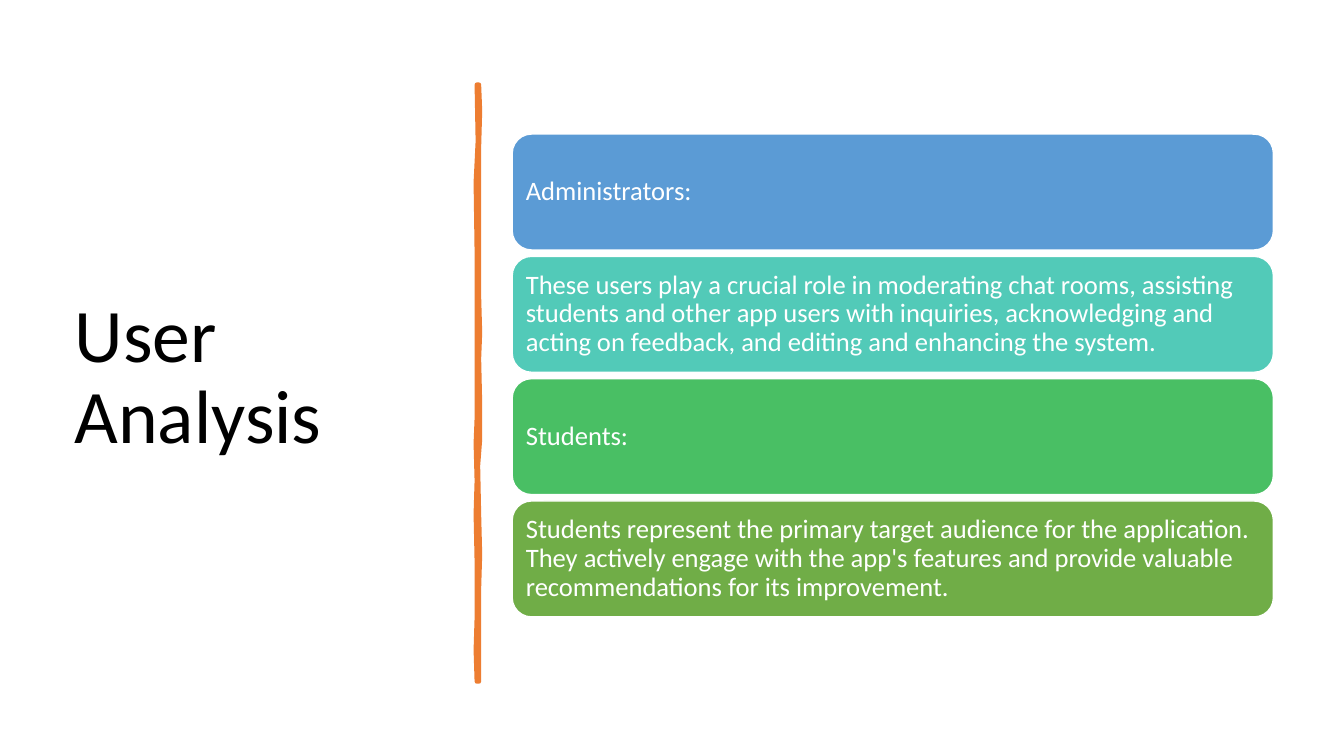
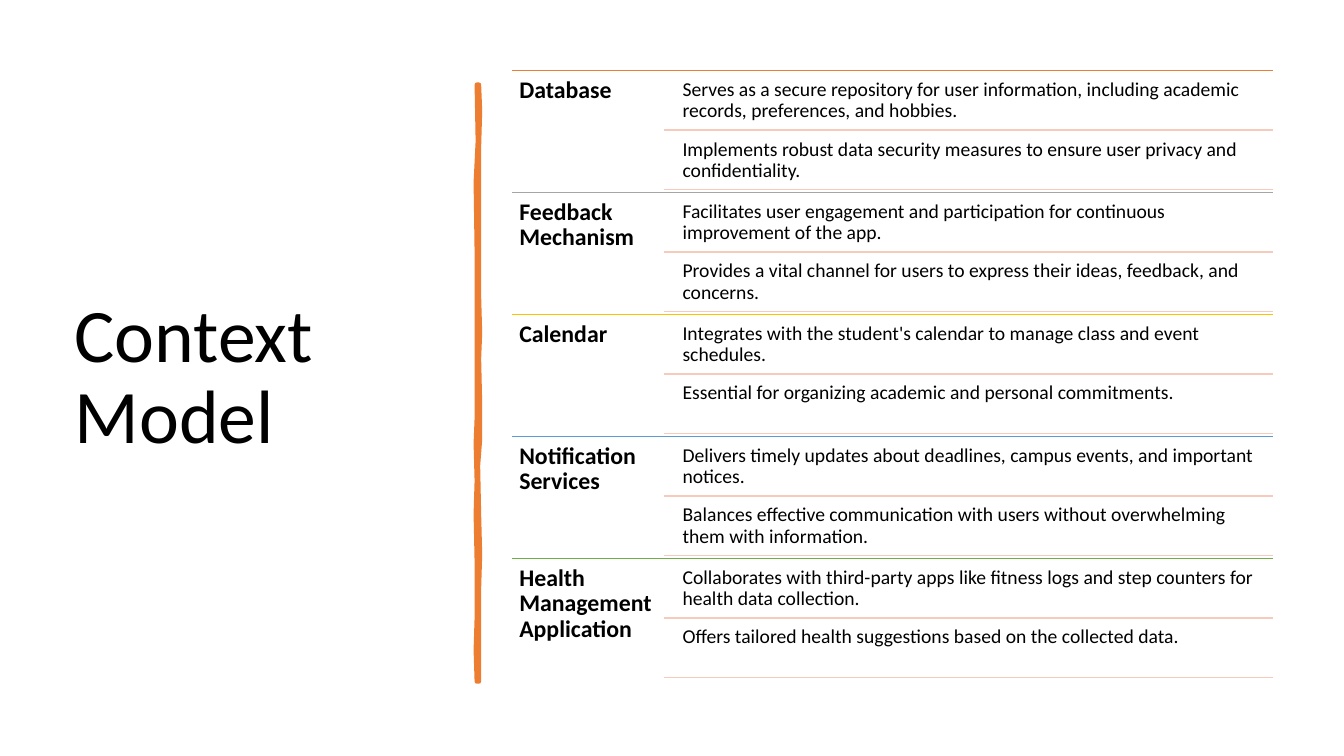
from dataclasses import dataclass
from typing import Any

from lxml import etree
from pptx import Presentation
from pptx.dml.color import RGBColor
from pptx.enum.shapes import MSO_CONNECTOR as Connector, MSO_SHAPE as Shape
from pptx.enum.text import MSO_ANCHOR as Anchor, PP_ALIGN as Align
from pptx.oxml.ns import qn
from pptx.util import Emu, Pt

EMU_PER_PX = 9144  # 100 px to the inch

BLACK = RGBColor(0x00, 0x00, 0x00)
WHITE = RGBColor(0xFF, 0xFF, 0xFF)
ORANGE = RGBColor(0xED, 0x7D, 0x31)
GRAY = RGBColor(0xA5, 0xA5, 0xA5)
GOLD = RGBColor(0xFF, 0xC0, 0x00)
BLUE = RGBColor(0x5B, 0x9B, 0xD5)
TEAL = RGBColor(0x52, 0xCA, 0xB8)
EMERALD = RGBColor(0x49, 0xBF, 0x64)
GREEN = RGBColor(0x70, 0xAD, 0x47)
PEACH = RGBColor(0xF6, 0xCB, 0xBC)

FONT = "Calibri"
TITLE_FORMAT = {"size": Pt(54)}
CARD_FORMAT = {"size": Pt(19)}
TOPIC_FORMAT = {"size": Pt(17), "bold": True}
DETAIL_FORMAT = {"size": Pt(14)}

CONTENT_LEFT, CONTENT_RIGHT = 508, 1263
CONTENT_WIDTH = CONTENT_RIGHT - CONTENT_LEFT

CARD_TOP, CARD_HEIGHT, CARD_GAP = 133, 115, 6.33

TOPIC_TOP, TOPIC_PITCH, TOPIC_WIDTH = 70, 121, 151
DETAIL_PITCH, DETAIL_LEFT = 59, 671
DETAIL_LINE_LEFT = CONTENT_LEFT + TOPIC_WIDTH

# Hand-drawn divider: down the right edge, then up the left edge.
DIVIDER_OUTLINE = [
    (475, 84), (476, 110), (475, 146), (475, 226), (475, 294), (476, 330),
    (475, 356), (476, 400), (476, 436), (474, 462), (475, 510), (476, 550),
    (475, 584), (475, 676),
    (473, 676), (472, 645), (473, 613), (473, 557), (472, 510), (473, 477),
    (472, 440), (473, 415), (473, 335), (473, 250), (472, 181), (474, 140),
    (473, 84),
]


@dataclass(frozen=True)
class Card:
    text: str
    fill: RGBColor


@dataclass(frozen=True)
class Topic:
    name: str
    color: RGBColor
    details: tuple[str, ...]


CARDS = [
    Card("Administrators:", BLUE),
    Card("These users play a crucial role in moderating chat rooms, assisting "
         "students and other app users with inquiries, acknowledging and acting "
         "on feedback, and editing and enhancing the system.", TEAL),
    Card("Students:", EMERALD),
    Card("Students represent the primary target audience for the application. "
         "They actively engage with the app's features and provide valuable "
         "recommendations for its improvement.", GREEN),
]

TOPICS = [
    Topic("Database", ORANGE, (
        "Serves as a secure repository for user information, including academic "
        "records, preferences, and hobbies.",
        "Implements robust data security measures to ensure user privacy and "
        "confidentiality.")),
    Topic("Feedback Mechanism", GRAY, (
        "Facilitates user engagement and participation for continuous "
        "improvement of the app.",
        "Provides a vital channel for users to express their ideas, feedback, "
        "and concerns.")),
    Topic("Calendar", GOLD, (
        "Integrates with the student's calendar to manage class and event "
        "schedules.",
        "Essential for organizing academic and personal commitments.")),
    Topic("Notification Services", BLUE, (
        "Delivers timely updates about deadlines, campus events, and important "
        "notices.",
        "Balances effective communication with users without overwhelming them "
        "with information.")),
    Topic("Health Management Application", GREEN, (
        "Collaborates with third-party apps like fitness logs and step counters "
        "for health data collection.",
        "Offers tailored health suggestions based on the collected data.")),
]


def px(length: float) -> Emu:
    return Emu(round(length * EMU_PER_PX))


def write_text(shape: Any, text: str, font_format: dict[str, Any], inset: int,
               color: RGBColor = BLACK, anchor: Anchor = Anchor.TOP) -> None:
    frame = shape.text_frame
    frame_format = {"word_wrap": True, "vertical_anchor": anchor}
    for side in ("left", "top", "right", "bottom"):
        frame_format[f"margin_{side}"] = px(inset)
    for name, value in frame_format.items():
        setattr(frame, name, value)
    paragraph = frame.paragraphs[0]
    paragraph.text = text
    paragraph.alignment = Align.LEFT
    paragraph.line_spacing = 0.9
    for name, value in {"name": FONT, **font_format}.items():
        setattr(paragraph.font, name, value)
    paragraph.font.color.rgb = color


def add_text(slide: Any, left: int, top: int, width: int, height: int,
             text: str, font_format: dict[str, Any], inset: int,
             anchor: Anchor = Anchor.TOP) -> None:
    box = slide.shapes.add_textbox(px(left), px(top), px(width), px(height))
    write_text(box, text, font_format, inset, anchor=anchor)


def paint(shape: Any, fill: RGBColor, line: RGBColor, line_width: float) -> None:
    shape.shadow.inherit = False
    shape.fill.solid()
    shape.fill.fore_color.rgb = fill
    shape.line.color.rgb = line
    shape.line.width = Pt(line_width)


def add_rule(slide: Any, left: int, y: int, color: RGBColor) -> None:
    """Draw a thin horizontal line to the right edge of the content."""
    rule = slide.shapes.add_connector(
        Connector.STRAIGHT, px(left), px(y), px(CONTENT_RIGHT), px(y))
    rule.line.color.rgb = color
    rule.line.width = Pt(1)
    etree.SubElement(rule._element.spPr, qn("a:effectLst"))


def add_titled_slide(presentation: Any, title: str) -> Any:
    """Add a slide with the shared title and divider."""
    slide = presentation.slides.add_slide(presentation.slide_layouts[6])
    add_text(slide, 69, 70, 374, 611, title, TITLE_FORMAT, 5, Anchor.MIDDLE)
    start, *rest = DIVIDER_OUTLINE
    builder = slide.shapes.build_freeform(*start, scale=EMU_PER_PX)
    builder.add_line_segments(rest, close=True)
    paint(builder.convert_to_shape(), ORANGE, ORANGE, 3.25)
    return slide


def add_card(slide: Any, index: int, card: Card) -> None:
    top = CARD_TOP + index * (CARD_HEIGHT + CARD_GAP)
    shape = slide.shapes.add_shape(
        Shape.ROUNDED_RECTANGLE, px(CONTENT_LEFT), px(top),
        px(CONTENT_WIDTH), px(CARD_HEIGHT))
    paint(shape, card.fill, WHITE, 1)
    write_text(shape, card.text, CARD_FORMAT, 8, WHITE, Anchor.MIDDLE)


def add_topic(slide: Any, index: int, topic: Topic) -> None:
    top = TOPIC_TOP + index * TOPIC_PITCH
    add_rule(slide, CONTENT_LEFT, top, topic.color)
    add_text(slide, CONTENT_LEFT, top, TOPIC_WIDTH, 92, topic.name,
             TOPIC_FORMAT, 7)
    for row, detail in enumerate(topic.details):
        row_top = top + row * DETAIL_PITCH
        add_text(slide, DETAIL_LEFT, row_top + 3, CONTENT_RIGHT - DETAIL_LEFT,
                 55, detail, DETAIL_FORMAT, 6)
        add_rule(slide, DETAIL_LINE_LEFT, row_top + DETAIL_PITCH, PEACH)


def main() -> None:
    presentation = Presentation()
    presentation.slide_width = px(1333)
    presentation.slide_height = px(750)

    user_analysis = add_titled_slide(presentation, "User Analysis")
    for index, card in enumerate(CARDS):
        add_card(user_analysis, index, card)

    context_model = add_titled_slide(presentation, "Context Model")
    for index, topic in enumerate(TOPICS):
        add_topic(context_model, index, topic)

    presentation.save("out.pptx")


if __name__ == "__main__":
    main()
